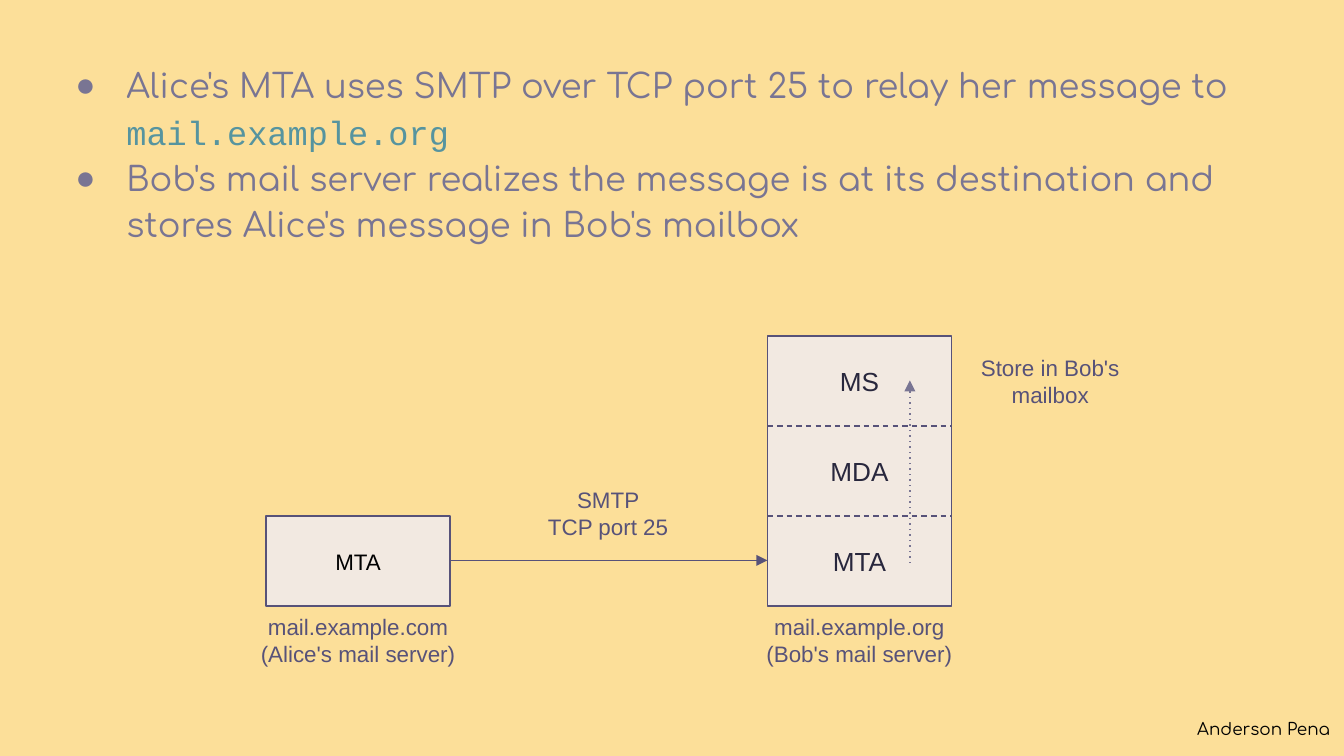
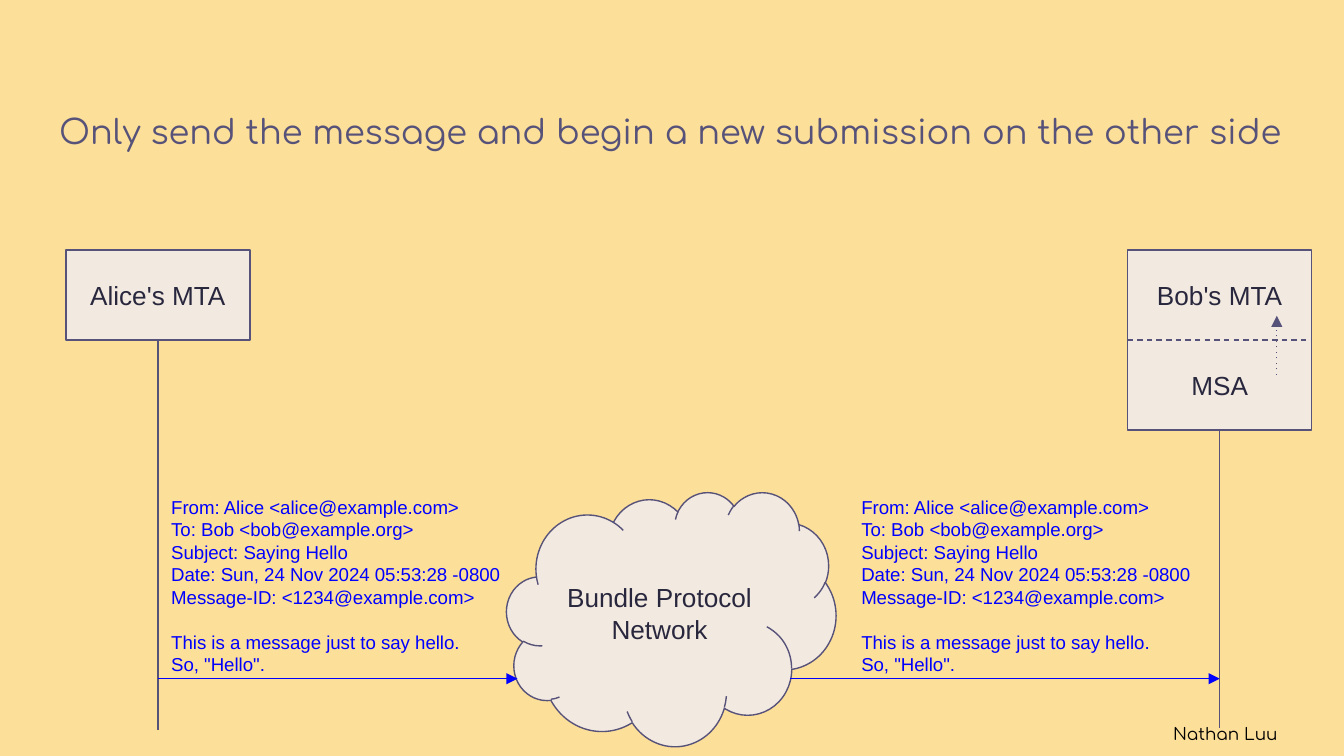
import pptx
import pptx.dml.color
import pptx.enum.shapes
import pptx.enum.text
import pptx.oxml.ns
import pptx.util
from lxml import etree

ALIGN = pptx.enum.text.PP_ALIGN
ANCHOR = pptx.enum.text.MSO_ANCHOR
SHAPE = pptx.enum.shapes.MSO_SHAPE

CREAM, PANEL = "FCDF99", "F2E9E1"
PLUM, MAUVE, TEAL = "575279", "797593", "56949F"
INK, BLACK, BLUE = "28273D", "000000", "0000FF"
SANS, ROUND, MONO = "Arial", "Comfortaa", "Courier New"

# Server boxes, in grid cells
BOX_W, BOX_H = 13.7, 6.7


def cells(count):
    """Length of a number of grid cells: 100 columns by 56.25 rows."""
    return pptx.util.Inches(count / 10)


def rgb(hex_code):
    return pptx.dml.color.RGBColor.from_string(hex_code)


def add_xml(parent, tag, **attributes):
    return etree.SubElement(parent, pptx.oxml.ns.qn(tag), attributes)


class Deck:
    def __init__(self):
        self.show = pptx.Presentation()
        self.show.slide_width = cells(100)
        self.show.slide_height = cells(56.25)
        self.slide = None

    def new_slide(self, layout):
        self.slide = self.show.slides.add_slide(self.show.slide_layouts[layout])
        background = self.slide.background.fill
        background.solid()
        background.fore_color.rgb = rgb(CREAM)

    def place(self, shape, left, top, width, height):
        shape.left, shape.top = cells(left), cells(top)
        shape.width, shape.height = cells(width), cells(height)

    def frame(self, shape, anchor):
        frame = shape.text_frame
        frame.word_wrap = True
        frame.auto_size = pptx.enum.text.MSO_AUTO_SIZE.NONE
        frame.vertical_anchor = anchor
        frame.margin_left = frame.margin_right = cells(1)
        frame.margin_top = frame.margin_bottom = cells(1)
        return frame

    def run(self, paragraph, text, size, color, font=SANS):
        """Add a run; each newline becomes a line break."""
        for number, line in enumerate(text.split("\n")):
            if number:
                paragraph.add_line_break()
            run = paragraph.add_run()
            run.text = line
            run.font.size = pptx.util.Pt(size)
            run.font.name = font
            run.font.color.rgb = rgb(color)

    def put_text(self, shape, lines, size, color, font=SANS, align=ALIGN.CENTER,
                 anchor=ANCHOR.MIDDLE):
        """Fill a shape with one paragraph for each line."""
        frame = self.frame(shape, anchor)
        for number, line in enumerate(lines):
            paragraph = frame.add_paragraph() if number else frame.paragraphs[0]
            paragraph.alignment = align
            self.run(paragraph, line, size, color, font)
        return frame

    def title(self, text, left, top, width, height):
        title = self.slide.shapes.title
        self.place(title, left, top, width, height)
        frame = self.put_text(title, [text], 18, PLUM, ROUND, ALIGN.LEFT, ANCHOR.TOP)
        frame.paragraphs[0].line_spacing = 1.15
        frame.paragraphs[0].space_after = pptx.util.Pt(12)

    def bullets(self, items, left, top, width, height):
        """Fill the body placeholder; an item is a list of (text, colour, font)."""
        heading = self.slide.shapes.title.element
        heading.getparent().remove(heading)
        body = self.slide.placeholders[1]
        self.place(body, left, top, width, height)
        frame = self.frame(body, ANCHOR.TOP)
        for number, item in enumerate(items):
            paragraph = frame.add_paragraph() if number else frame.paragraphs[0]
            paragraph.line_spacing = 1.15
            paragraph.space_before = pptx.util.Pt(0)
            properties = paragraph._p.get_or_add_pPr()
            properties.set("marL", str(cells(5)))
            properties.set("indent", str(-cells(3.8)))
            add_xml(add_xml(properties, "a:buClr"), "a:srgbClr", val=MAUVE)
            add_xml(properties, "a:buChar", char="●")
            for text, color, font in item:
                self.run(paragraph, text, 18, color, font)

    def text_box(self, left, top, width, height):
        return self.slide.shapes.add_textbox(
            cells(left), cells(top), cells(width), cells(height))

    def label(self, text, left, top, width, height=4.9):
        self.put_text(self.text_box(left, top, width, height), [text], 12, PLUM)

    def byline(self, name, left, top):
        frame = self.put_text(self.text_box(left, top, 14.7, 3.5), [name], 9, BLACK,
                              ROUND, ALIGN.LEFT, ANCHOR.TOP)
        frame.auto_size = pptx.enum.text.MSO_AUTO_SIZE.SHAPE_TO_FIT_TEXT

    def email(self, headers, message, left, top):
        frame = self.put_text(self.text_box(left, top, 26.8, 14.7), headers + message,
                              10, BLUE, align=ALIGN.LEFT, anchor=ANCHOR.TOP)
        frame.paragraphs[len(headers)].space_before = pptx.util.Pt(12)

    def panel(self, left, top, width=BOX_W, height=BOX_H, lines=(), size=14,
              color=INK, fill=PANEL, outline=PLUM, kind=SHAPE.RECTANGLE):
        shape = self.slide.shapes.add_shape(
            kind, cells(left), cells(top), cells(width), cells(height))
        shape.shadow.inherit = False
        if fill:
            shape.fill.solid()
            shape.fill.fore_color.rgb = rgb(fill)
        else:
            shape.fill.background()
        if outline:
            shape.line.color.rgb = rgb(outline)
            shape.line.width = pptx.util.Pt(0.75)
        else:
            shape.line.fill.background()
        self.put_text(shape, lines, size, color)

    def stack(self, left, top, parts):
        """Draw one server as boxes with dashed lines between them."""
        for number, part in enumerate(parts):
            self.panel(left, top + number * BOX_H, lines=[part], outline=None)
        self.panel(left, top, height=len(parts) * BOX_H, fill=None)
        for number in range(1, len(parts)):
            level = top + number * BOX_H
            self.line((left, level), (left + BOX_W, level), dash="dash")

    def line(self, start, end, color=PLUM, dash=None, arrow=False):
        line = self.slide.shapes.add_connector(
            pptx.enum.shapes.MSO_CONNECTOR.STRAIGHT,
            *(cells(value) for value in start + end))
        line.line.color.rgb = rgb(color)
        line.line.width = pptx.util.Pt(0.75)
        properties = line.element.spPr
        outline = properties.find(pptx.oxml.ns.qn("a:ln"))
        if dash:
            add_xml(outline, "a:prstDash", val=dash)
        if arrow:
            add_xml(outline, "a:tailEnd", type="triangle", w="med", len="med")
        add_xml(properties, "a:effectLst")


def relay_slide(deck):
    deck.new_slide(1)
    deck.bullets([
        [("Alice's MTA uses SMTP over TCP port 25 to relay her message to ",
          MAUVE, ROUND),
         ("mail.example.org", TEAL, MONO)],
        [("Bob's mail server realizes the message is at its destination and "
          "stores Alice's message in Bob's mailbox", MAUVE, ROUND)],
    ], 3.4, 3.4, 93.2, 14.9)

    alice, bob, mta_top = 19.8, 57.1, 38.4
    deck.panel(alice, mta_top, lines=["MTA"], size=12, color=BLACK)
    deck.stack(bob, mta_top - 2 * BOX_H, ["MS", "MDA", "MTA"])
    deck.line((alice + BOX_W, 41.7), (bob, 41.7), arrow=True)
    deck.line((67.7, 41.9), (67.7, 28.3), MAUVE, "dot", arrow=True)

    deck.label("SMTP\nTCP port 25", 39.5, 35.7, 11.5)
    deck.label("Store in Bob's mailbox", 71.3, 25.9, 13.7)
    for left, caption in ((alice, "mail.example.com\n(Alice's mail server)"),
                          (bob, "mail.example.org\n(Bob's mail server)")):
        deck.label(caption, left - 1.65, 45.2, 17)
    deck.byline("Anderson Pena", 88.1, 52.7)


def bundle_slide(deck):
    deck.new_slide(5)
    deck.title("Only send the message and begin a new submission on the other side",
               3.4, 6.8, 93.2, 4.4)

    alice, bob, top = 4.9, 83.9, 18.6
    alice_line, bob_line = alice + BOX_W / 2, bob + BOX_W / 2
    deck.panel(alice, top, lines=["Alice's MTA"])
    deck.line((alice_line, top + BOX_H), (alice_line, 54.3))
    deck.panel(37.7, 36.6, 24.5, 18.9, ["Bundle Protocol", "Network"],
               kind=SHAPE.CLOUD)
    deck.line((alice_line, 50.5), (38.5, 50.5), BLUE, arrow=True)
    deck.line((58.8, 50.5), (bob_line, 50.5), BLUE, arrow=True)
    deck.line((bob_line, top + 2 * BOX_H), (bob_line, 54.2))

    headers = ["From: Alice <alice@example.com>",
               "To: Bob <bob@example.org>",
               "Subject: Saying Hello",
               "Date: Sun, 24 Nov 2024 05:53:28 -0800",
               "Message-ID: <1234@example.com>"]
    message = ["This is a message just to say hello.", 'So, "Hello".']
    for left in (alice_line, 63.1):
        deck.email(headers, message, left, 35.9)

    deck.stack(bob, top, ["Bob's MTA", "MSA"])
    deck.line((95, 27.9), (95, 23.5), dash="dot", arrow=True)
    deck.byline("Nathan Luu", 86.3, 53.1)


def main():
    deck = Deck()
    relay_slide(deck)
    bundle_slide(deck)
    deck.show.save("out.pptx")


if __name__ == "__main__":
    main()
